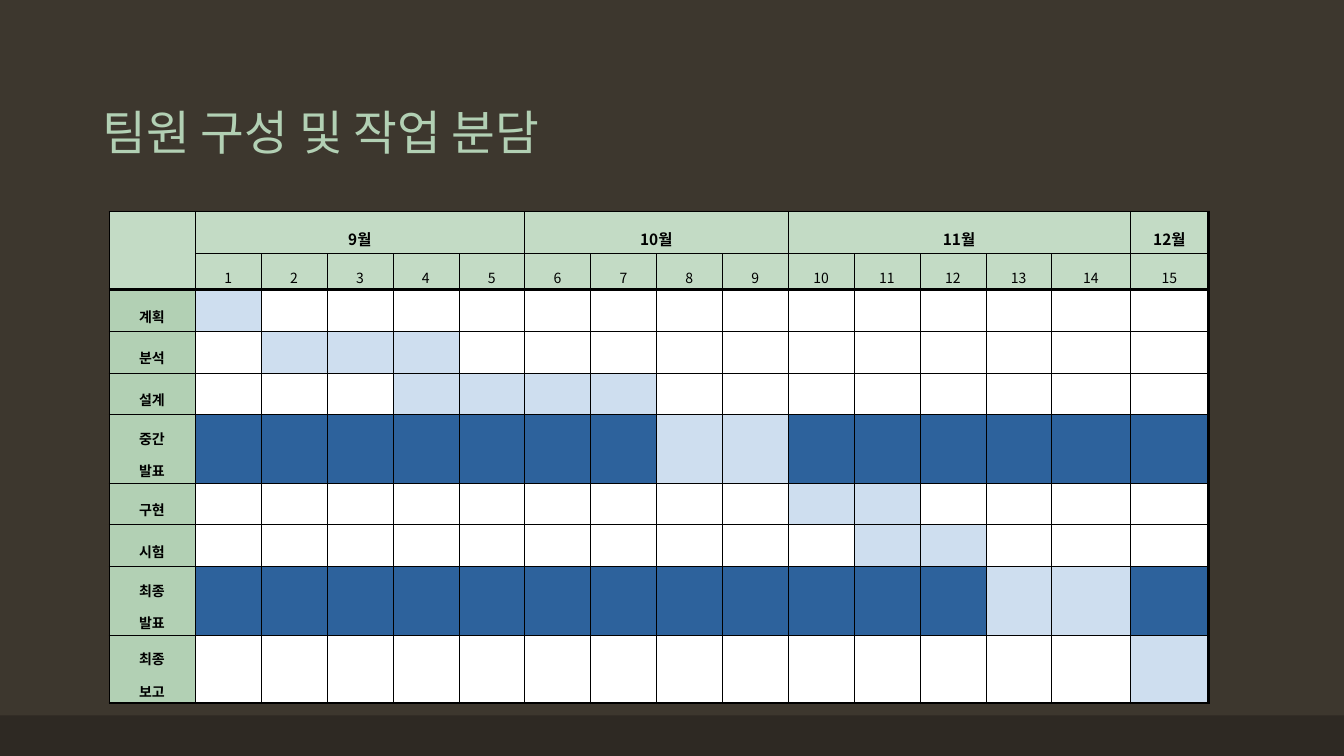
from dataclasses import dataclass

from lxml import etree
from pptx import Presentation
from pptx.dml.color import RGBColor
from pptx.enum.shapes import MSO_SHAPE
from pptx.enum.text import MSO_ANCHOR, PP_ALIGN
from pptx.oxml.ns import qn
from pptx.util import Cm, Pt

RECTANGLE = MSO_SHAPE.RECTANGLE
BOTTOM, MIDDLE = MSO_ANCHOR.BOTTOM, MSO_ANCHOR.MIDDLE
LEFT, CENTER = PP_ALIGN.LEFT, PP_ALIGN.CENTER
TITLE_ONLY = 5

MONTHS = [("9", 5), ("10", 4), ("11", 5), ("12", 1)]
WEEKS = sum(weeks for _, weeks in MONTHS)
# Label lines, first week, last week, whether it is a milestone
TASKS = [
    (["계획"], 1, 1, False),
    (["분석"], 2, 4, False),
    (["설계"], 4, 7, False),
    (["중간", "발표"], 8, 9, True),
    (["구현"], 10, 11, False),
    (["시험"], 11, 12, False),
    (["최종", "발표"], 13, 14, True),
    (["최종", "보고"], 15, 15, False),
]
HEADER_ROWS = 2


@dataclass(frozen=True)
class Theme:
    background: str = "3D372E"
    footer: str = "2E2923"
    title: str = "B2D0B4"
    header: str = "C3DBC5"
    label: str = "B2D0B4"
    active: str = "CEDEEF"
    idle: str = "FFFFFF"
    milestone: str = "2D629C"
    ink: str = "000000"
    serif: str = "TeX Gyre Schola"
    sans: str = "Noto Sans CJK KR"
    title_size: float = 34
    month_size: float = 11
    cell_size: float = 10
    thin: float = 0.28
    thick: float = 1.98


def apply(target, values):
    for name, value in values.items():
        setattr(target, name, value)


class ScheduleSlide:
    def __init__(self, deck, theme):
        self.theme = theme
        self.slide = deck.slides.add_slide(deck.slide_layouts[TITLE_ONLY])
        self.paint(self.slide.background.fill, theme.background)

    def paint(self, fill, colour):
        fill.solid()
        fill.fore_color.rgb = RGBColor.from_string(colour)

    def add_text(self, paragraph, text, font, size, colour, bold=False):
        run = paragraph.add_run()
        run.text = text
        apply(run.font, {"name": font, "size": Pt(size), "bold": bold})
        run.font.color.rgb = RGBColor.from_string(colour)

    def footer_bar(self, top, width, height):
        bar = self.slide.shapes.add_shape(RECTANGLE, 0, top, width, height)
        bar.shadow.inherit = False
        self.paint(bar.fill, self.theme.footer)
        bar.line.fill.background()

    def title(self, text, left, top, width, height):
        heading = self.slide.shapes.title
        apply(heading, {"left": left, "top": top, "width": width, "height": height})
        apply(heading.text_frame, {"vertical_anchor": BOTTOM, "word_wrap": True})
        paragraph = heading.text_frame.paragraphs[0]
        apply(paragraph, {"alignment": LEFT, "line_spacing": 0.9})
        self.add_text(paragraph, text, self.theme.serif, self.theme.title_size, self.theme.title)

    def table(self, left, top, widths, heights):
        frame = self.slide.shapes.add_table(
            len(heights), len(widths), left, top, sum(widths), sum(heights))
        grid = frame.table
        apply(grid, {"first_row": False, "horz_banding": False})
        for column, width in zip(grid.columns, widths):
            column.width = width
        for row, height in zip(grid.rows, heights):
            row.height = height
        return grid

    def cell(self, cell, colour, lines=(), size=None, bold=False):
        """Fill a cell; each line is a list of (text, font) runs."""
        apply(cell, {"vertical_anchor": MIDDLE,
                     "margin_left": Cm(0.18), "margin_right": Cm(0.18),
                     "margin_top": Cm(0.05), "margin_bottom": Cm(0.05)})
        self.paint(cell.fill, colour)
        for index, line in enumerate(lines):
            frame = cell.text_frame
            paragraph = frame.add_paragraph() if index else frame.paragraphs[0]
            apply(paragraph, {"alignment": CENTER, "line_spacing": 1.6})
            for text, font in line:
                self.add_text(paragraph, text, font, size or self.theme.cell_size,
                              self.theme.ink, bold)

    def borders(self, cell, thick_sides):
        properties = cell._tc.get_or_add_tcPr()
        for index, side in enumerate("LRTB"):
            width = self.theme.thick if side in thick_sides else self.theme.thin
            line = etree.Element(qn(f"a:ln{side}"), w=str(Pt(width)))
            solid = etree.SubElement(line, qn("a:solidFill"))
            etree.SubElement(solid, qn("a:srgbClr"), val=self.theme.ink)
            properties.insert(index, line)

    def schedule(self, left, top):
        theme = self.theme
        widths = [Cm(2.18)] + [Cm(1.66)] * (WEEKS - 2) + [Cm(1.98)] * 2
        heights = [Cm(1.05), Cm(0.91)] + [
            Cm(1.72 if len(label) > 1 else 1.05) for label, *_ in TASKS]
        grid = self.table(left, top, widths, heights)

        self.cell(grid.cell(0, 0), theme.header)
        grid.cell(0, 0).merge(grid.cell(1, 0))
        first = 1
        for month, weeks in MONTHS:
            heading = grid.cell(0, first)
            self.cell(heading, theme.header, [[(month, theme.sans), ("월", theme.serif)]],
                      theme.month_size, bold=True)
            if weeks > 1:
                heading.merge(grid.cell(0, first + weeks - 1))
            first += weeks
        for week in range(1, WEEKS + 1):
            self.cell(grid.cell(1, week), theme.header, [[(str(week), theme.sans)]])

        for row, (label, start, end, milestone) in enumerate(TASKS, HEADER_ROWS):
            self.cell(grid.cell(row, 0), theme.label,
                      [[(line, theme.serif)] for line in label], bold=True)
            rest = theme.milestone if milestone else theme.idle
            for week in range(1, WEEKS + 1):
                self.cell(grid.cell(row, week), theme.active if start <= week <= end else rest)

        last_row = len(heights) - 1
        for row in range(len(heights)):
            for column in range(len(widths)):
                thick = "B" if row in (HEADER_ROWS - 1, last_row) else ""
                thick += "T" if row == HEADER_ROWS else ""
                thick += "R" if column == WEEKS else ""
                if (row, column) == (0, 0):
                    thick = "B"
                self.borders(grid.cell(row, column), thick)


def main():
    deck = Presentation()
    apply(deck, {"slide_width": Cm(33.87), "slide_height": Cm(19.05)})
    page = ScheduleSlide(deck, Theme())
    page.footer_bar(Cm(18.03), deck.slide_width, Cm(1.02))
    page.title("팀원 구성 및 작업 분담", Cm(2.34), Cm(1.02), Cm(29.21), Cm(3.17))
    page.schedule(Cm(2.74), Cm(5.33))
    deck.save("out.pptx")


if __name__ == "__main__":
    main()
